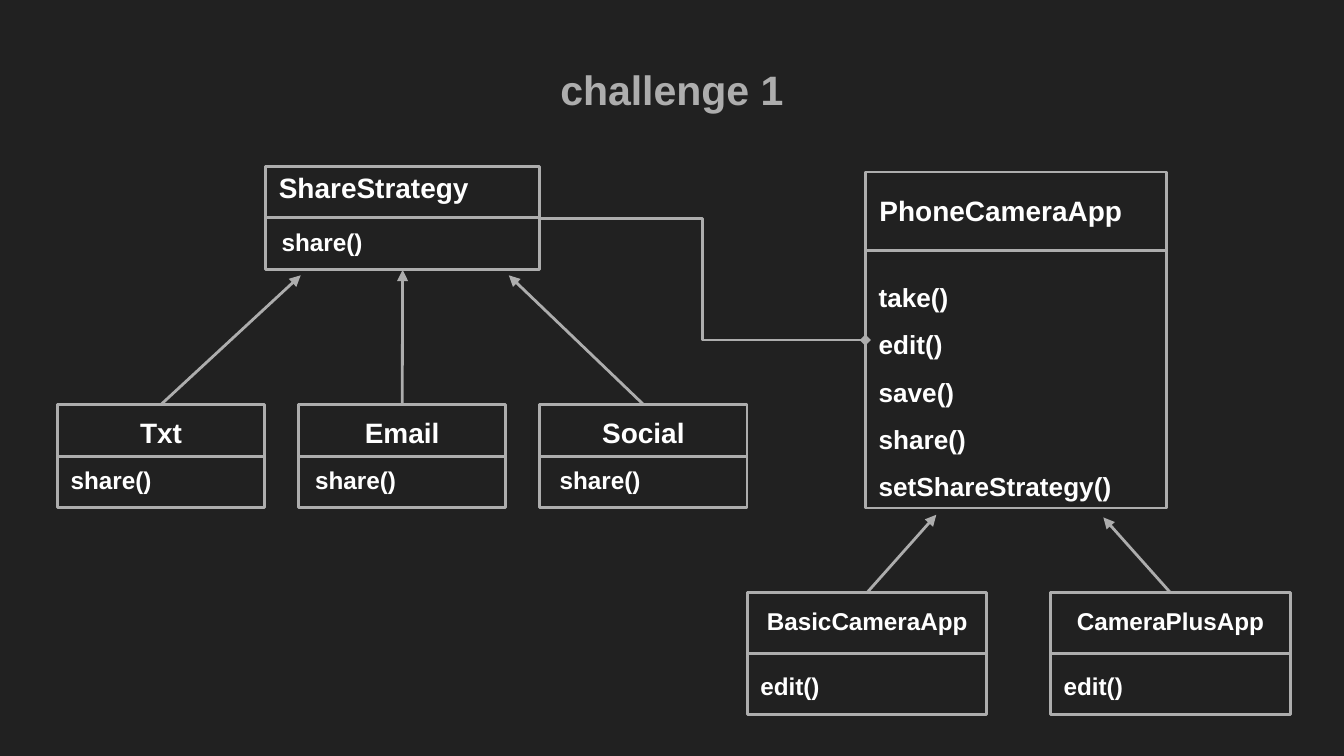
from pptx import Presentation
from pptx.dml.color import RGBColor
from pptx.enum.shapes import MSO_CONNECTOR as CONN, MSO_SHAPE as SHAPE
from pptx.enum.text import MSO_ANCHOR as ANCHOR, PP_ALIGN as ALIGN
from pptx.oxml.ns import qn
from pptx.util import Pt
from lxml.etree import SubElement

DARK, GREY, WHITE = "212121", "ADADAD", "FFFFFF"
TOP, LEFT, BOTTOM, RIGHT = range(4)


def rgb(value):
    return RGBColor.from_string(value)


def place(sp, left, top, width, height):
    sp.left, sp.top, sp.width, sp.height = map(Pt, (left, top, width, height))


def write(sp, lines, size, color=WHITE, align=ALIGN.LEFT, spacing=1.0):
    tf = sp.text_frame
    frame = dict(word_wrap=True, vertical_anchor=ANCHOR.TOP)
    frame |= {f"margin_{side}": Pt(7.2) for side in ("left", "top", "right", "bottom")}
    for name, value in frame.items():
        setattr(tf, name, value)
    for i, line in enumerate(lines):
        p = tf.paragraphs[0] if i == 0 else tf.add_paragraph()
        p.alignment, p.line_spacing = align, spacing
        r = p.add_run()
        r.text = line
        for name, value in dict(name="Arial", size=Pt(size), bold=True).items():
            setattr(r.font, name, value)
        r.font.color.rgb = rgb(color)


def add_label(s, left, top, width, height, lines, size, **style):
    sp = s.shapes.add_textbox(*map(Pt, (left, top, width, height)))
    write(sp, lines, size, **style)


def style_line(line):
    line.color.rgb = rgb(GREY)
    line.width = Pt(1.5)


def add_line(s, start, end, head=None, kind=CONN.STRAIGHT):
    cx = s.shapes.add_connector(kind, *map(Pt, (*start, *end)))
    style_line(cx.line)
    if head:
        SubElement(cx.line._get_or_add_ln(), qn("a:tailEnd"), type=head)
    SubElement(cx._element.spPr, qn("a:effectLst"))
    return cx


def add_class(s, box, name, methods, divider, name_at, methods_at,
              sizes=(15, 13), align=ALIGN.CENTER, spacing=1.0):
    """Draw a UML class; divider and text offsets are relative to its box."""
    left, top, width, height = box
    sp = s.shapes.add_shape(SHAPE.RECTANGLE, *map(Pt, box))
    sp.shadow.inherit = False
    sp.fill.solid()
    sp.fill.fore_color.rgb = rgb(DARK)
    style_line(sp.line)
    add_line(s, (left, top + divider), (left + width, top + divider))
    add_label(s, left + name_at[0], top + name_at[1], width, 32, [name], sizes[0], align=align)
    dx, dy = methods_at
    add_label(s, left + dx, top + dy, width, height - dy, methods, sizes[1], spacing=spacing)
    return sp


def add_title(s, text):
    sp = s.shapes.title
    place(sp, 229.7, 27.4, 260.6, 41)
    write(sp, [text], 22, color=GREY, align=ALIGN.CENTER)


def add_inheritance(s, child, box, end):
    """Point an arrow from the top of a subclass to its parent."""
    start = (box[0] + box[2] / 2, box[1])
    cx = add_line(s, start, end, "triangle")
    cx.begin_connect(child, TOP)
    return cx


def add_strategies(s, left, top):
    parent = add_class(s, (left + 111.5, top, 146.8, 55.4), "ShareStrategy", ["share()"],
                       27.5, (0, -5), (1.5, 25.2), align=ALIGN.LEFT)
    tips = [(130.3, 58.3), (184.9, 55.4), (241.8, 58.3)]
    for i, (name, (x, y)) in enumerate(zip(("Txt", "Email", "Social"), tips)):
        box = (left + i * 129.2, top + 127.5, 111, 55.4)
        child = add_class(s, box, name, ["share()"], 27.9, (0, -1.5), (i * 1.8, 25.2))
        cx = add_inheritance(s, child, box, (left + x, top + y))
        if name == "Email":
            cx.end_connect(parent, BOTTOM)
    return parent


def add_camera_apps(s, left, top):
    methods = ["take()", "edit()", "save()", "share()", "setShareStrategy()"]
    parent = add_class(s, (left + 63.3, top, 161.4, 180), "PhoneCameraApp", methods, 41.9,
                       (0.5, 4.3), (0, 43.2), (15, 14), ALIGN.LEFT, spacing=1.5)
    tips = [(101.3, 183.6), (190.8, 185)]
    for i, (name, (x, y)) in enumerate(zip(("BasicCameraApp", "CameraPlusApp"), tips)):
        box = (left + i * 162.5, top + 225.3, 128.4, 65.2)
        child = add_class(s, box, name, ["edit()"], 32.6, (0, 0), (0, 34.9), (13, 13))
        add_inheritance(s, child, box, (left + x, top + y))
    return parent


def main():
    prs = Presentation()
    prs.slide_width, prs.slide_height = Pt(720), Pt(405)
    s = prs.slides.add_slide(prs.slide_layouts[5])
    s.background.fill.solid()
    s.background.fill.fore_color.rgb = rgb(DARK)
    add_title(s, "challenge 1")
    strategy = add_strategies(s, 30.8, 89.2)
    app = add_camera_apps(s, 400.3, 92.2)
    cx = add_line(s, (289, 116.9), (463.6, 182.2), "diamond", CONN.ELBOW)
    cx.begin_connect(strategy, RIGHT)
    cx.end_connect(app, LEFT)
    prs.save("out.pptx")


if __name__ == "__main__":
    main()
